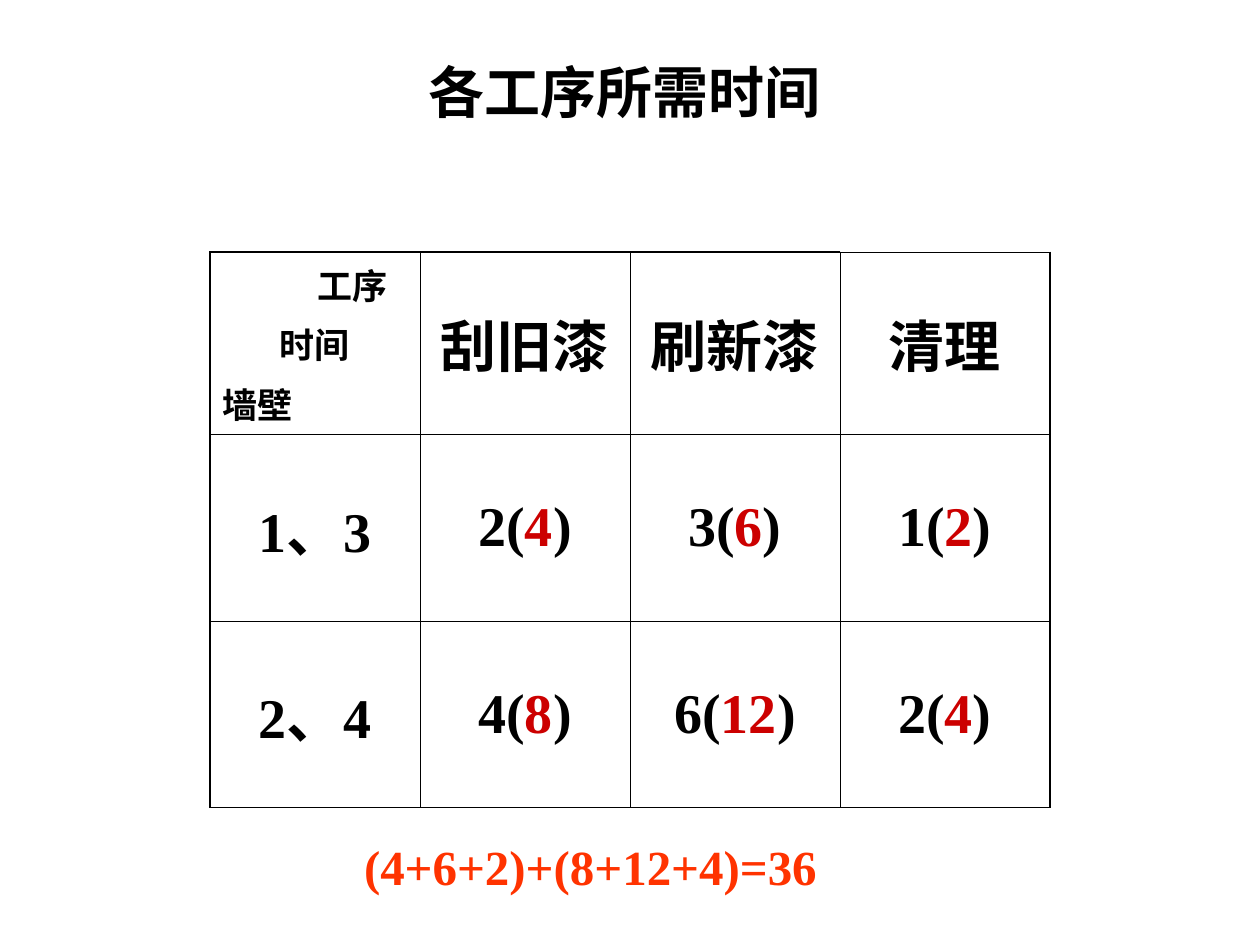
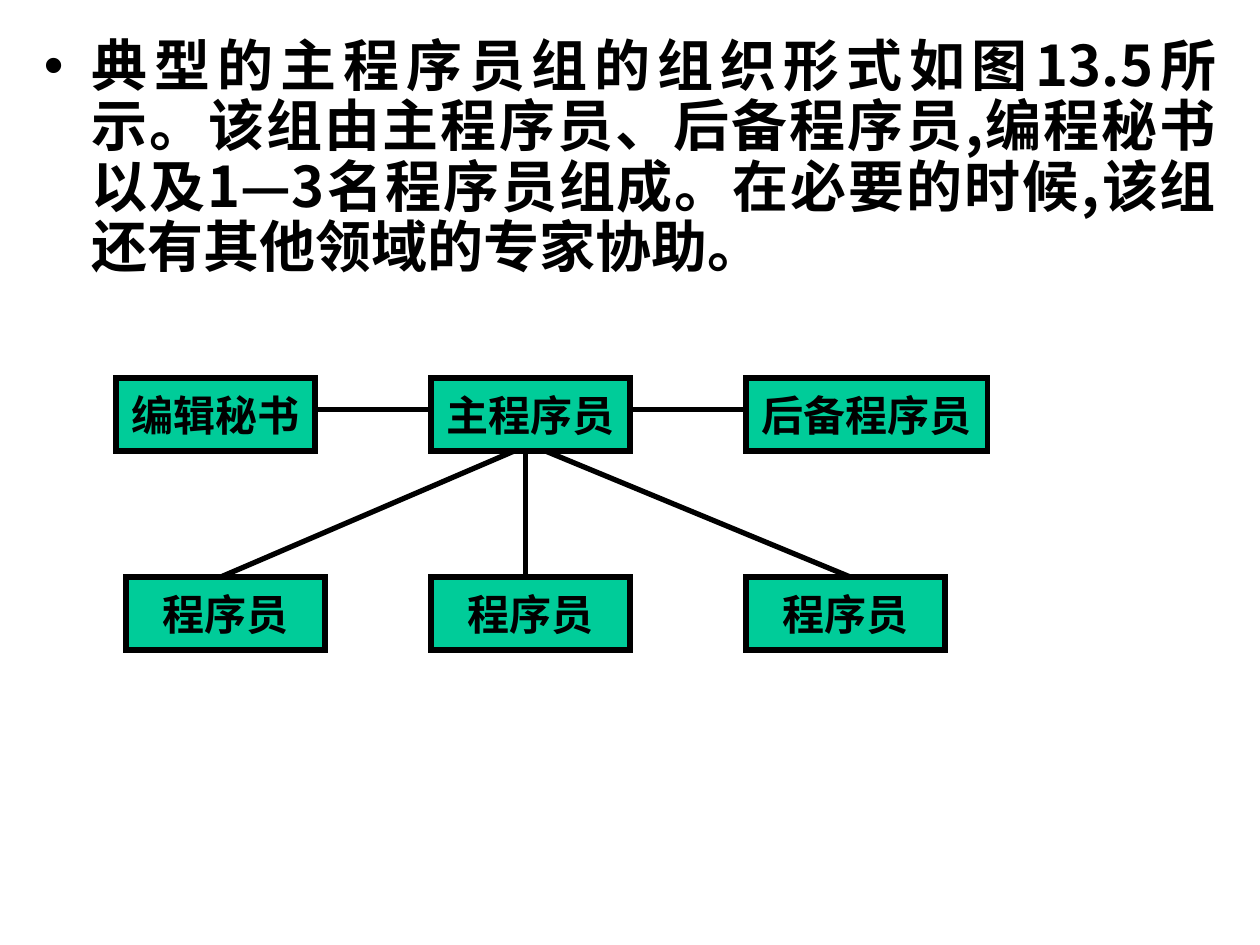
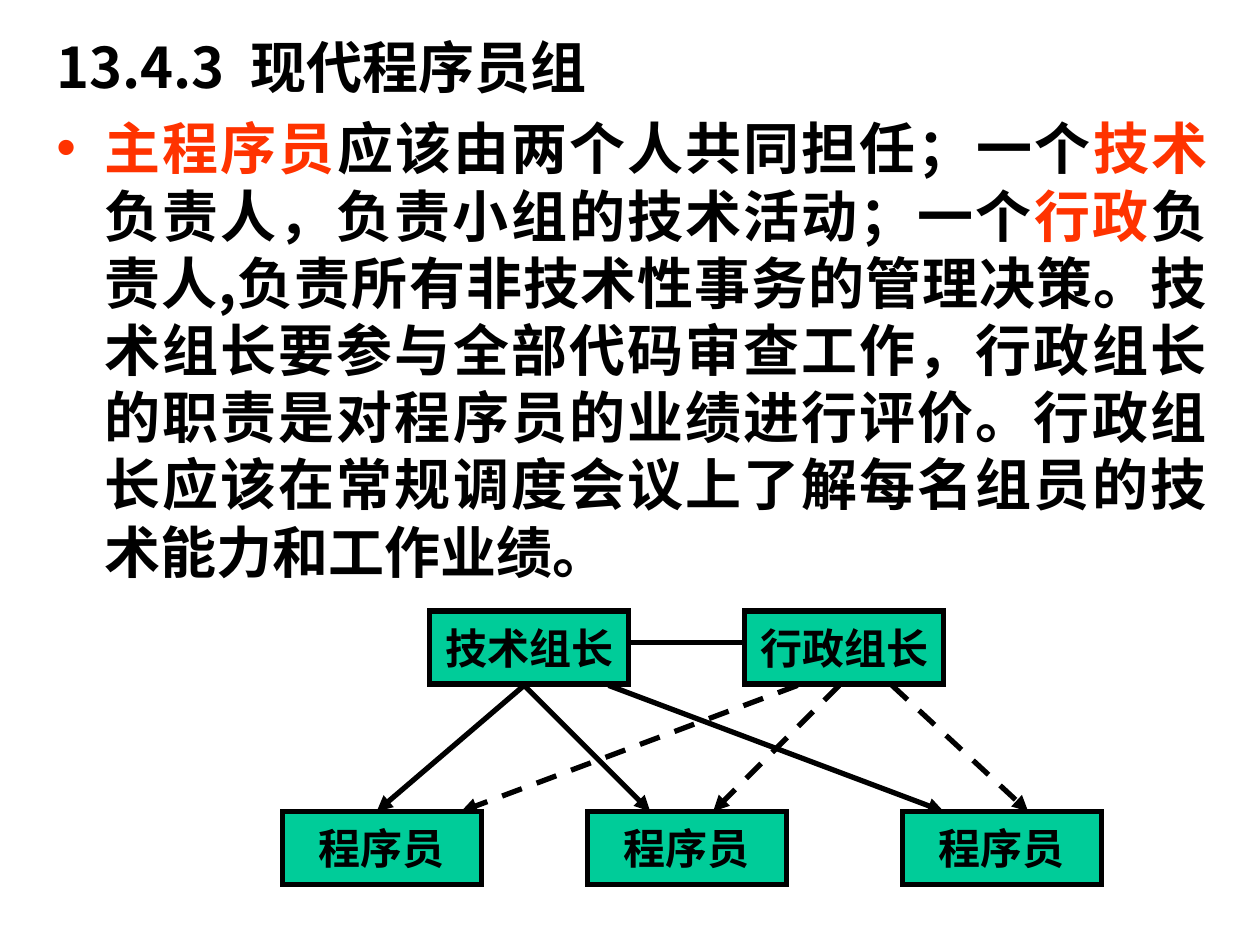
from pptx import Presentation
from pptx.dml.color import RGBColor
from pptx.enum.dml import MSO_LINE
from pptx.enum.shapes import MSO_CONNECTOR, MSO_SHAPE
from pptx.enum.text import MSO_ANCHOR, PP_ALIGN
from pptx.oxml.ns import qn
from pptx.util import Inches, Pt
from lxml.etree import SubElement

BLACK, RED, ORANGE, GREEN = "000000", "CC0000", "FF3300", "00CC99"
SANS, SERIF = "Noto Sans CJK SC", "Times New Roman"
CENTER, JUSTIFY = PP_ALIGN.CENTER, PP_ALIGN.JUSTIFY
BOX_W, BOX_H = 1.58, 0.58

# Slide 1: painting times
TITLE = "各工序所需时间"
CORNER = [("工序", 0.75), ("时间", 0.45), ("墙壁", 0)]
STEPS = ["刮旧漆", "刷新漆", "清理"]
WALLS = [
    ("1、3", [(2, 4), (3, 6), (1, 2)]),
    ("2、4", [(4, 8), (6, 12), (2, 4)]),
]
ROWS, COL_W = [1.45, 1.48, 1.48], 5 / 3
SUM = "(4+6+2)+(8+12+4)=36"

# Slide 2: chief programmer team; boxes are name, left, top, width
CHIEF = ("典型的主程序员组的组织形式如图13.5所示。该组由主程序员、后备程序员,"
         "编程秘书以及1—3名程序员组成。在必要的时候,该组还有其他领域的专家协助。")
CHIEF_BOXES = [
    ("编辑秘书", 0.92, 3, BOX_W),
    ("主程序员", 3.42, 3, BOX_W),
    ("后备程序员", 5.92, 3, 1.92),
    ("程序员", 1, 4.58, BOX_W),
    ("程序员", 3.42, 4.58, BOX_W),
    ("程序员", 5.92, 4.58, BOX_W),
]
PEERS = [(2.5, 3.42), (5, 5.92)]
REPORTS = [(4.08, 1.75), (4.17, 4.17), (4.33, 6.75)]

# Slide 3: modern team
HEAD = ["13.4.3", " ", "现代程序员组"]
MODERN = [
    ("主程序员", ORANGE), "应该由两个人共同担任；一个", ("技术", ORANGE),
    "负责人，负责小组的技术活动；一个", ("行政", ORANGE),
    "负责人,负责所有非技术性事务的管理决策。技术组长要参与全部代码审查工作，"
    "行政组长的职责是对程序员的业绩进行评价。行政组长应该在常规调度会议上"
    "了解每名组员的技术能力和工作业绩。",
]
MODERN_BOXES = [
    ("技术组长", 3.41, 4.85, BOX_W),
    ("行政组长", 5.91, 4.85, BOX_W),
    ("程序员", 2.24, 6.44, BOX_W),
    ("程序员", 4.66, 6.44, BOX_W),
    ("程序员", 7.16, 6.44, BOX_W),
]
TECH = [(4.16, 2.99), (4.16, 5.16), (4.83, 7.49)]
ADMIN = [(6.33, 3.66), (6.66, 5.66), (7.08, 8.16)]


def color(code):
    return RGBColor.from_string(code)


def write(frame, runs, size=32, font=SANS, ink=BLACK, align=None, before=0,
          spacing=None, indent=0, bullet=None, gap=0):
    """Add a paragraph; runs is a string or a list of strings and (string, colour).

    A run that is a single space is widened by gap points.
    """
    para = frame.paragraphs[0]
    if para.runs:
        para = frame.add_paragraph()
    props = para._p.get_or_add_pPr()
    props.set("marL", str(Inches(indent)))
    props.set("indent", str(Inches(-indent if bullet else 0)))
    props.set("hangingPunct", "0")
    if bullet:
        tint = SubElement(props, qn("a:buClr"))
        SubElement(tint, qn("a:srgbClr"), val=bullet)
        SubElement(props, qn("a:buFont"), typeface="Arial")
        SubElement(props, qn("a:buChar"), char="•")
    else:
        SubElement(props, qn("a:buNone"))
    para.alignment = align
    para.space_before = Pt(before)
    if spacing:
        para.line_spacing = spacing
    for part in [runs] if isinstance(runs, str) else runs:
        text, tone = (part, ink) if isinstance(part, str) else part
        run = para.add_run()
        run.text = text
        run.font.size = Pt(size)
        run.font.bold = True
        run.font.name = font
        run.font.color.rgb = color(tone)
        style = run._r.get_or_add_rPr()
        SubElement(style, qn("a:ea"), typeface=SANS)
        if gap and text == " ":
            style.set("spc", str(round(gap * 100)))


def textbox(slide, *place):
    frame = slide.shapes.add_textbox(*map(Inches, place)).text_frame
    frame.word_wrap = True
    return frame


def node(slide, name, left, top, width):
    box = slide.shapes.add_shape(
        MSO_SHAPE.RECTANGLE, *map(Inches, (left, top, width, BOX_H)))
    box.shadow.inherit = False
    box.fill.solid()
    box.fill.fore_color.rgb = color(GREEN)
    box.line.color.rgb = color(BLACK)
    box.line.width = Pt(3)
    SubElement(box.line._get_or_add_ln(), qn("a:miter"), lim="800000")
    frame = box.text_frame
    frame.word_wrap = False
    frame.vertical_anchor = MSO_ANCHOR.MIDDLE
    write(frame, name, size=24, font=SERIF, align=CENTER)


def link(slide, x1, y1, x2, y2, arrow=False, dash=False):
    wire = slide.shapes.add_connector(
        MSO_CONNECTOR.STRAIGHT, *map(Inches, (x1, y1, x2, y2)))
    wire.line.color.rgb = color(BLACK)
    wire.line.width = Pt(3)
    if dash:
        wire.line.dash_style = MSO_LINE.DASH
    if arrow:
        SubElement(wire.line._get_or_add_ln(), qn("a:tailEnd"), type="triangle")
    SubElement(wire._element.spPr, qn("a:effectLst"))


def border(cell, **widths):
    props = cell._tc.get_or_add_tcPr()
    for side, width in widths.items():
        line = SubElement(props, qn("a:ln" + side), w=str(Pt(width)))
        fill = SubElement(line, qn("a:solidFill"))
        SubElement(fill, qn("a:srgbClr"), val=BLACK)


def times(slide):
    write(textbox(slide, 0.33, 0.41, 9.25, 0.83), TITLE, align=CENTER)
    count, last = len(ROWS), len(STEPS)
    table = slide.shapes.add_table(
        count, last + 1, Inches(COL_W), Inches(2),
        Inches(COL_W * (last + 1)), Inches(sum(ROWS))).table
    table.first_row = table.horz_banding = False
    for col in table.columns:
        col.width = Inches(COL_W)
    for row, height in zip(table.rows, ROWS):
        row.height = Inches(height)

    grid = [[None, *STEPS]]
    for wall, pairs in WALLS:
        grid.append([wall] + [[f"{one}(", (str(both), RED), ")"]
                              for one, both in pairs])
    thin, thick = 0.45, 1.08
    for r, line in enumerate(grid):
        for c, runs in enumerate(line):
            cell = table.cell(r, c)
            border(cell,
                   L=thick if c == 0 else thin,
                   R=thick if c == last else thin,
                   T=thick if r == 0 and c < last else thin,
                   B=thick if r == count - 1 else thin)
            cell.fill.background()
            if runs:
                cell.vertical_anchor = MSO_ANCHOR.MIDDLE
                write(cell.text_frame, runs, font=SERIF, align=CENTER)
    for i, (label, indent) in enumerate(CORNER):
        write(table.cell(0, 0).text_frame, label, size=20, font=SERIF,
              indent=indent, before=5 if i else 0)
    write(textbox(slide, 1.14, 6.59, 7.09, 0.57), SUM, size=28, font=SERIF,
          ink=ORANGE, align=CENTER)


def chief(slide):
    write(textbox(slide, 0.25, 0.25, 9.5, 2.17), CHIEF, align=JUSTIFY,
          spacing=0.9, indent=0.38, bullet=BLACK)
    for box in CHIEF_BOXES:
        node(slide, *box)
    for x1, x2 in PEERS:
        link(slide, x1, 3.25, x2, 3.25)
    for x1, x2 in REPORTS:
        link(slide, x1, 3.58, x2, 4.58)


def modern(slide):
    frame = textbox(slide, 0.35, 0.21, 9.33, 4.51)
    write(frame, HEAD, align=JUSTIFY, gap=7.3)
    write(frame, MODERN, align=JUSTIFY, before=8, indent=0.38, bullet=ORANGE)
    for box in MODERN_BOXES:
        node(slide, *box)
    link(slide, 4.99, 5.1, 5.91, 5.1)
    for ends, dash in ((TECH, False), (ADMIN, True)):
        for x1, x2 in ends:
            link(slide, x1, 5.44, x2, 6.44, arrow=True, dash=dash)


def main():
    deck = Presentation()
    deck.slide_width, deck.slide_height = Inches(10), Inches(7.5)
    for build in (times, chief, modern):
        build(deck.slides.add_slide(deck.slide_layouts[6]))
    deck.save("out.pptx")


if __name__ == "__main__":
    main()
